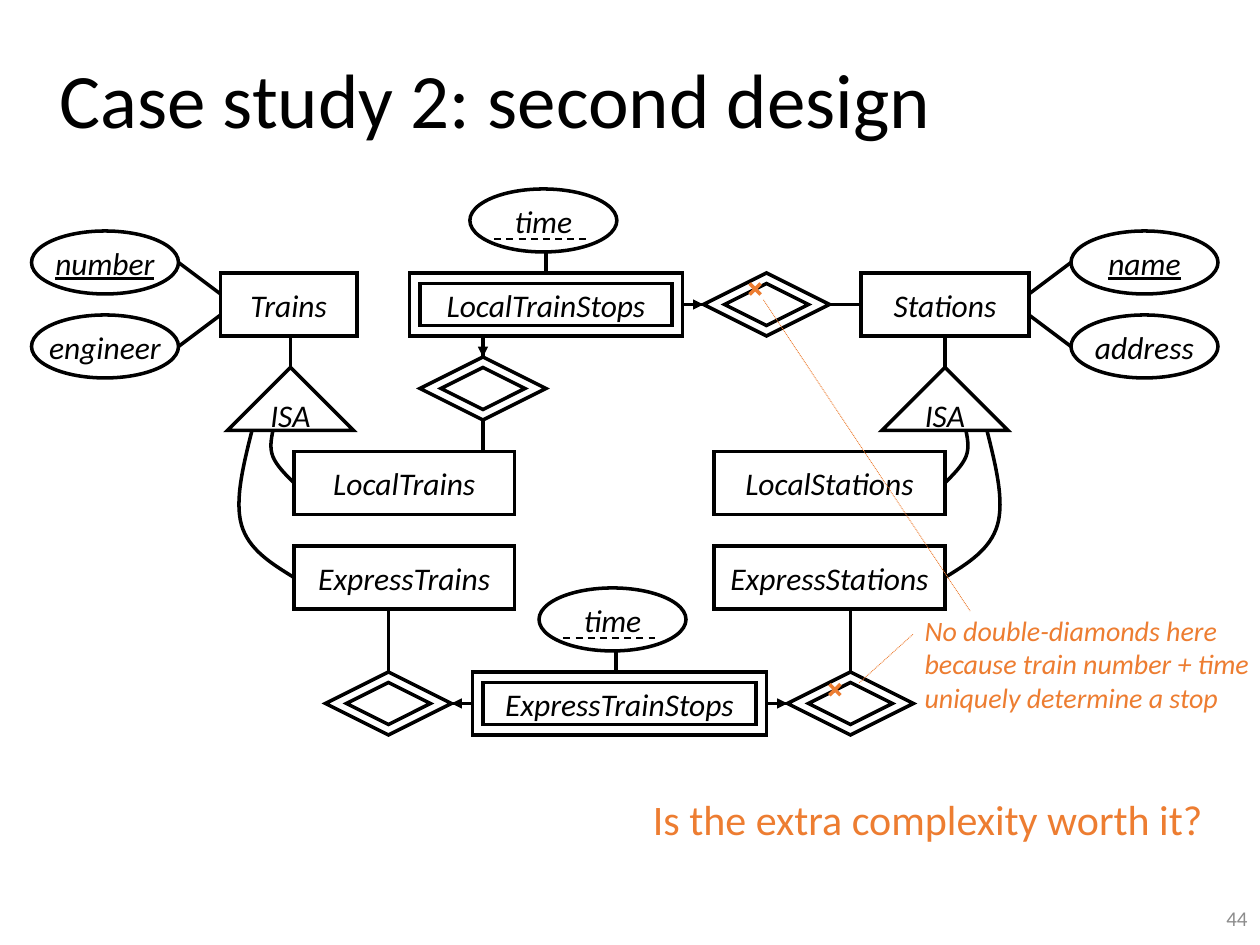
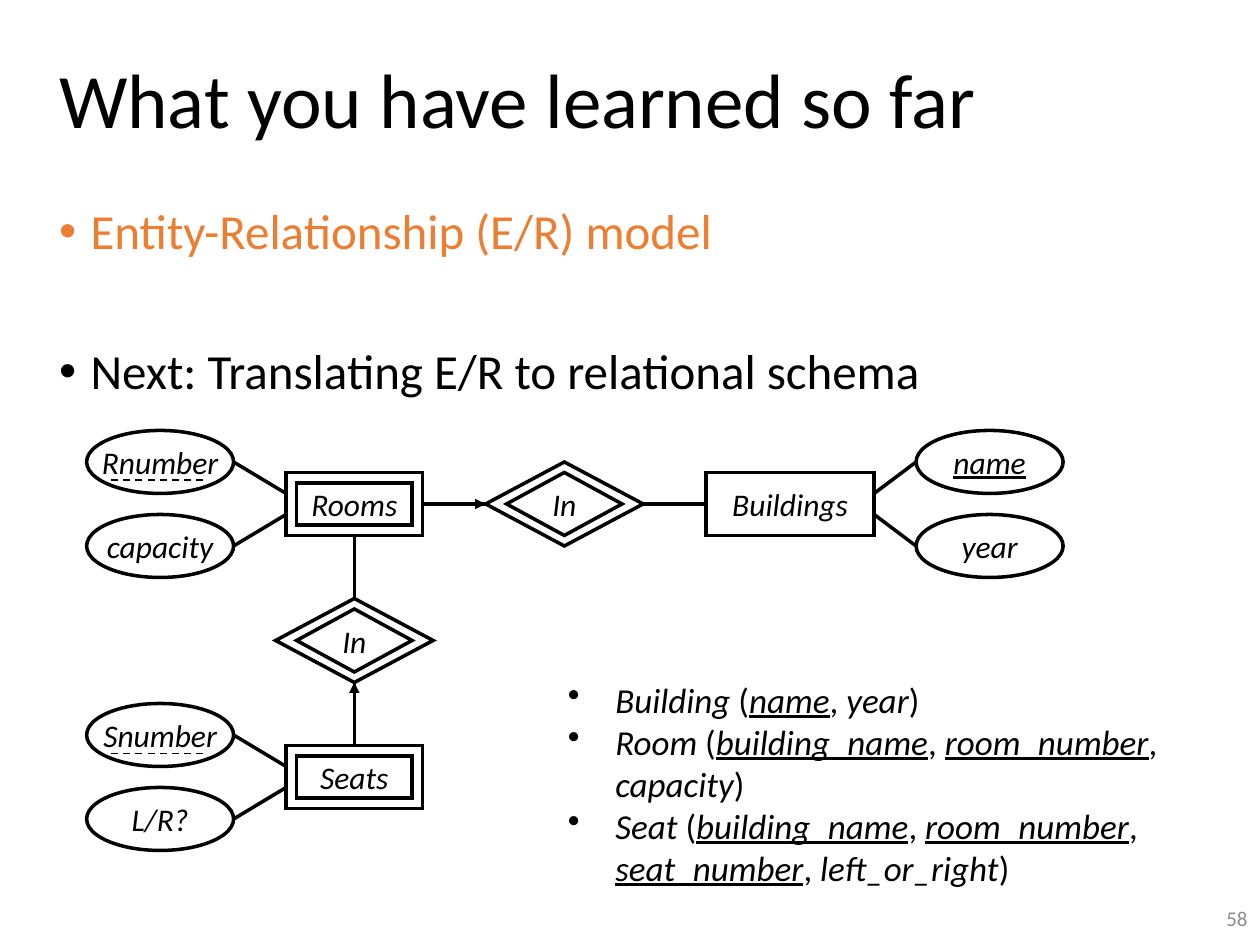
from dataclasses import dataclass

from lxml import etree
from pptx import Presentation
from pptx.dml.color import RGBColor
from pptx.enum import dml, shapes, text
from pptx.oxml.ns import qn
from pptx.util import Pt

COLORS = {"ink": "000000", "accent": "ED7D31", "number": "8C8C8C"}
FONT = "Calibri"
SHAPE = shapes.MSO_SHAPE
ROW = 36  # height of entities, attributes and triangles
ATTRIBUTE_WIDTH = 84
TITLE_BOX = (26.6, 13, 693.4, 92.9)
NUMBER_BOX = (558, 510, 162, 28.8)

# Curves from a triangle to a subclass, as offsets from the subclass edge
NEAR_CURVE = [(12, -30), (13, -25), (14, -20), (12, -15), (10, -10), (5, -5), (0, 0)]
FAR_CURVE = [(24, -84), (29, -64), (34, -44), (30, -30), (26, -16), (13, -8), (0, 0)]


@dataclass
class Box:
    left: float
    top: float
    width: float
    height: float = ROW

    @property
    def right(self):
        return self.left + self.width

    @property
    def bottom(self):
        return self.top + self.height

    @property
    def middle(self):
        return self.top + self.height / 2

    def inset(self, dx, dy):
        return Box(self.left + dx, self.top + dy, self.width - 2 * dx, self.height - 2 * dy)


# ---- Shared text and line styling ----
def rgb(color):
    return RGBColor.from_string(COLORS[color])


def style_runs(para, size, color="ink", italic=None, underline=None):
    for span in para.runs:
        font = span.font
        font.name, font.size = FONT, Pt(size)
        font.color.rgb = rgb(color)
        font.italic, font.underline = italic, underline


def set_bullet(para, indent):
    props = para._p.get_or_add_pPr()
    props.set("marL", str(Pt(indent)))
    props.set("indent", str(-Pt(indent)))
    etree.SubElement(props, qn("a:buChar"), char="•")


def place(shape, left, top, width, height):
    shape.left, shape.top = Pt(left), Pt(top)
    shape.width, shape.height = Pt(width), Pt(height)


def add_text(page, box, words, size, color, italic=None, align=text.PP_ALIGN.LEFT, wrap=False):
    frame = page.shapes.add_textbox(*map(Pt, box)).text_frame
    frame.word_wrap = wrap
    frame.text = words
    para = frame.paragraphs[0]
    para.alignment = align
    style_runs(para, size, color, italic)
    return frame


def outline(shape):
    shape.shadow.inherit = False
    shape.fill.background()
    shape.line.color.rgb = rgb("ink")
    shape.line.width = Pt(2)
    etree.SubElement(shape.element.spPr.find(qn("a:ln")), qn("a:miter"), lim="800000")


# ---- Entity-relationship notation, relative to a corner of the slide ----
@dataclass
class Diagram:
    page: object
    left: float
    top: float

    def at(self, x, y):
        return Pt(self.left + x), Pt(self.top + y)

    def figure(self, kind, box, label="", underline=None):
        shape = self.page.shapes.add_shape(
            kind, *self.at(box.left, box.top), Pt(box.width), Pt(box.height))
        outline(shape)
        if label:
            frame = shape.text_frame
            frame.word_wrap = False
            frame.vertical_anchor = text.MSO_ANCHOR.MIDDLE
            frame.text = label
            para = frame.paragraphs[0]
            para.alignment = text.PP_ALIGN.CENTER
            style_runs(para, 18, italic=True, underline=underline)
        return box

    def entity(self, label, left, top, width, weak=False):
        box = self.figure(SHAPE.RECTANGLE, Box(left, top, width), label)
        if weak:
            self.figure(SHAPE.RECTANGLE, box.inset(6, 6))
        return box

    def relationship(self, left, top, width=72, height=ROW, label=""):
        box = self.figure(SHAPE.FLOWCHART_DECISION, Box(left, top, width, height), label)
        self.figure(SHAPE.FLOWCHART_DECISION, box.inset(12, 6))
        return box

    def attribute(self, label, left, top, key=None):
        box = Box(left, top, ATTRIBUTE_WIDTH)
        self.figure(SHAPE.OVAL, box, label, True if key == "full" else None)
        if key == "partial":
            self.line(left + 14, top + 28.5, left + 68, top + 28.5, 1,
                      dash=dml.MSO_LINE.DASH)
        return box

    def attribute_pair(self, entity, left, first, second, key):
        """Two attributes above and below the middle of an entity."""
        before = left < entity.left
        for label, side, kind in ((first, -1, key), (second, 1, None)):
            oval = self.attribute(label, left, entity.top + side * 24, kind)
            self.line(entity.left if before else entity.right, entity.middle + side * 6,
                      oval.right if before else oval.left, oval.middle)

    def line(self, x1, y1, x2, y2, width=2, color="ink", dash=None, head=False):
        link = self.page.shapes.add_connector(
            shapes.MSO_CONNECTOR.STRAIGHT, *self.at(x1, y1), *self.at(x2, y2))
        link.line.color.rgb = rgb(color)
        link.line.width = Pt(width)
        if dash:
            link.line.dash_style = dash
        props = link.element.spPr
        if head:
            etree.SubElement(props.find(qn("a:ln")), qn("a:tailEnd"), type="triangle")
        etree.SubElement(props, qn("a:effectLst"))

    def arrow(self, *ends):
        self.line(*ends)
        self.line(*ends, width=0.5, head=True)  # small head on a thick line

    def curve(self, x, y, side, offsets):
        points = [self.at(x + side * dx, y + dy) for dx, dy in offsets]
        builder = self.page.shapes.build_freeform(*points[0])
        builder.add_line_segments(points[1:], close=False)
        shape = builder.convert_to_shape()
        outline(shape)
        # Each three straight segments become one Bézier segment
        steps = list(shape.element.iter(qn("a:lnTo")))
        for i in range(0, len(steps), 3):
            bezier = etree.SubElement(steps[i].getparent(), qn("a:cubicBezTo"))
            for step in steps[i:i + 3]:
                bezier.append(step[0])
                step.getparent().remove(step)

    def subclasses(self, parent, triangle_left, children, side):
        top = parent.bottom + 18
        self.figure(SHAPE.ISOSCELES_TRIANGLE, Box(triangle_left, top, 72), "ISA")
        self.line(triangle_left + 36, parent.bottom, triangle_left + 36, top)
        for child, offsets in zip(children, (NEAR_CURVE, FAR_CURVE)):
            self.curve(child.left if side < 0 else child.right, child.middle, side, offsets)

    def cross(self, x, y, size=6.3):
        self.line(x, y, x + size, y + size, color="accent")
        self.line(x, y + size, x + size, y, color="accent")


# ---- Frame of each slide ----
def add_page(deck, layout, title, number):
    page = deck.slides.add_slide(deck.slide_layouts[layout])
    place(page.shapes.title, *TITLE_BOX)
    frame = page.shapes.title.text_frame
    frame.text = title
    frame.auto_size = text.MSO_AUTO_SIZE.NONE
    frame.vertical_anchor = text.MSO_ANCHOR.MIDDLE
    para = frame.paragraphs[0]
    para.alignment = text.PP_ALIGN.LEFT
    para.line_spacing = 0.9
    style_runs(para, 44)
    footer = add_text(page, NUMBER_BOX, str(number), 12, "number",
                      align=text.PP_ALIGN.RIGHT, wrap=True)
    footer.vertical_anchor = text.MSO_ANCHOR.MIDDLE
    return page


# ---- Train diagram ----
def train_diagram(page, left, top):
    er = Diagram(page, left, top)
    trains = er.entity("Trains", 108, 48, 78)
    stations = er.entity("Stations", 474, 48, 96)
    er.attribute_pair(trains, 0, "number", "engineer", "full")
    er.attribute_pair(stations, 594, "name", "address", "full")

    # Subclasses
    kinds = (("Local", 150), ("Express", 204))
    train_kinds = [er.entity(kind + "Trains", 150, y, 126) for kind, y in kinds]
    station_kinds = [er.entity(kind + "Stations", 390, y, 132) for kind, y in kinds]
    er.subclasses(trains, 112, train_kinds, -1)
    er.subclasses(stations, 486, station_kinds, 1)

    # Local stops
    stops = er.entity("LocalTrainStops", 216, 48, 156, weak=True)
    er.attribute("time", 250.5, 0, "partial")
    er.line(294, 36, 294, stops.top)
    at_station = er.relationship(384, 48)
    of_train = er.relationship(222, 96)
    er.arrow(stops.right, stops.middle, at_station.left, stops.middle)
    er.line(at_station.right, stops.middle, stations.left, stops.middle)
    er.arrow(258, stops.bottom, 258, of_train.top)
    er.line(258, of_train.bottom, 258, train_kinds[0].top)

    # Express stops
    stops = er.entity("ExpressTrainStops", 252, 276, 168, weak=True)
    er.attribute("time", 290, 228, "partial")
    er.line(334, 264, 334, stops.top)
    at_station = er.relationship(432, 276)
    of_train = er.relationship(168, 276)
    er.arrow(stops.right, stops.middle, at_station.left, stops.middle)
    er.arrow(stops.left, stops.middle, of_train.right, stops.middle)
    for diamond, kind in ((of_train, train_kinds[1]), (at_station, station_kinds[1])):
        center = diamond.left + 36
        er.line(center, diamond.top, center, kind.bottom)

    # Remark on the two station diamonds
    er.cross(410.4, 54)
    er.cross(456, 283)
    for ends in ((418.3, 63.4, 536.4, 241.2), (473, 282.2, 504, 254.2)):
        er.line(*ends, width=0.5, color="accent", dash=dml.MSO_LINE.ROUND_DOT)
    add_text(page, (left + 503.3, top + 239, 206.6, 65.5),
             "No double-diamonds here\vbecause train number + time\vuniquely determine a stop",
             16, "accent", italic=True)


# ---- Room diagram ----
def room_diagram(page, left, top):
    er = Diagram(page, left, top)
    rooms = er.entity("Rooms", 114, 24, 78, weak=True)
    seats = er.entity("Seats", 114, 180, 78, weak=True)
    buildings = er.entity("Buildings", 354, 24, 96)
    er.attribute_pair(rooms, 0, "Rnumber", "capacity", "partial")
    er.attribute_pair(seats, 0, "Snumber", "L/R?", "partial")
    er.attribute_pair(buildings, 474, "name", "year", "full")
    in_building = er.relationship(228, 18, 90, 48, "In")
    in_room = er.relationship(108, 96, 90, 48, "In")
    er.arrow(rooms.right, rooms.middle, in_building.left, rooms.middle)
    er.line(in_building.right, rooms.middle, buildings.left, rooms.middle)
    er.line(153, rooms.bottom, 153, in_room.top)
    er.arrow(153, seats.top, 153, in_room.bottom)


# ---- Lists ----
def topic_list(page, box):
    body = page.placeholders[1]
    place(body, *box)
    frame = body.text_frame
    frame.auto_size = text.MSO_AUTO_SIZE.NONE
    topics = (("Entity-Relationship (E/R) model", "accent", 0),
              ("Next: Translating E/R to relational schema", "ink", 50))
    frame.text = "\n".join(topic for topic, _, _ in topics)
    for para, (_, color, gap) in zip(frame.paragraphs, topics):
        para.line_spacing = 0.9
        para.space_before = Pt(gap)
        set_bullet(para, 18)
        style_runs(para, 28, color)


def schema_list(page, box):
    relations = (("Building", ["name"], ["year"]),
                 ("Room", ["building_name", "room_number"], ["capacity"]),
                 ("Seat", ["building_name", "room_number", "seat_number"], ["left_or_right"]))
    frame = add_text(page, box, "", 20, "ink", wrap=True)
    for i, (relation, keys, others) in enumerate(relations):
        para = frame.add_paragraph() if i else frame.paragraphs[0]
        set_bullet(para, 27)
        parts = [relation, " ("]
        for column in keys + others:
            parts += [column, ", "]
        parts[-1] = ")"
        for part in parts:
            para.add_run().text = part
        style_runs(para, 20)
        for span in para.runs[::2]:  # names alternate with punctuation
            span.font.italic = True
            span.font.underline = True if span.text in keys else None


def main():
    deck = Presentation()
    deck.slide_width, deck.slide_height = Pt(720), Pt(540)

    page = add_page(deck, 5, "Case study 2: second design", 44)
    train_diagram(page, 18, 108)
    add_text(page, (366, 450, 344, 36), "Is the extra complexity worth it?", 24, "accent")

    page = add_page(deck, 1, "What you have learned so far", 58)
    topic_list(page, (26.6, 114.5, 643.7, 414.7))
    room_diagram(page, 49.5, 246)
    schema_list(page, (317.5, 384, 388, 128))

    deck.save("out.pptx")


if __name__ == "__main__":
    main()
